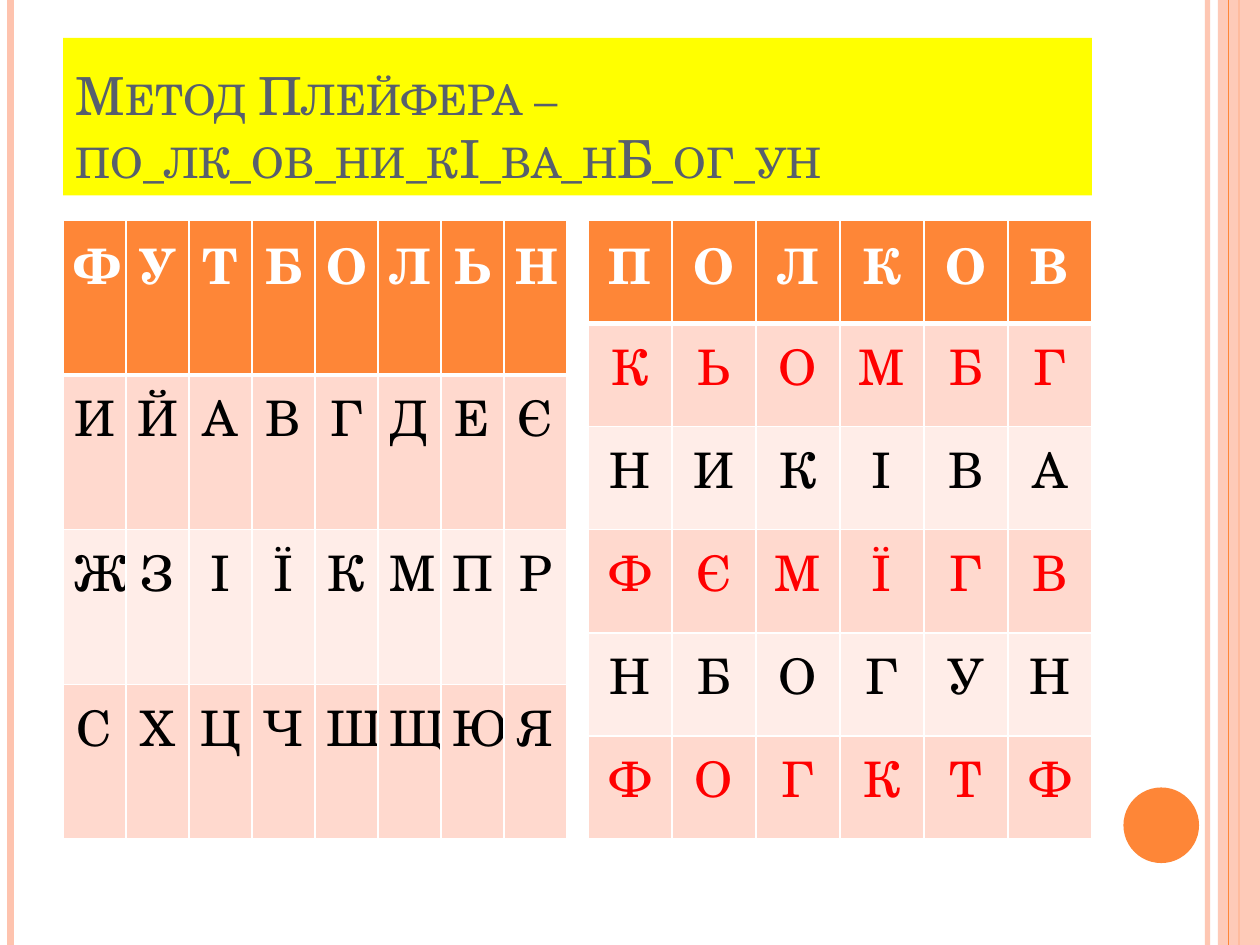
import lxml.etree
import pptx
import pptx.dml.color
import pptx.enum.shapes
import pptx.enum.text
import pptx.oxml.ns
import pptx.util

FONT = "TeX Gyre Schola"
COLORS = {
    "orange": "FE8637", "peach": "FEC3AE", "yellow": "FFFF00", "slate": "575F6D",
    "band": "FFD9CE", "pale": "FFEDE8", "white": "FFFFFF", "black": "000000", "red": "FF0000",
}


def tint(fill, name, alpha=None):
    """Make a fill solid, with an optional opacity in percent."""
    fill.solid()
    fill.fore_color.rgb = pptx.dml.color.RGBColor.from_string(COLORS[name])
    if alpha:
        color = fill._xPr.find(".//" + pptx.oxml.ns.qn("a:srgbClr"))
        lxml.etree.SubElement(color, pptx.oxml.ns.qn("a:alpha"), val=str(alpha * 1000))


def place(*cells):
    """Turn grid columns and rows, in turn, into lengths."""
    return [int(cell * (row if i % 2 else col)) for i, cell in enumerate(cells)]


deck = pptx.Presentation()
deck.slide_width = pptx.util.Inches(10)
deck.slide_height = pptx.util.Inches(7.5)
col, row = deck.slide_width / 60, deck.slide_height / 150
slide = deck.slides.add_slide(deck.slide_layouts[5])
shapes = slide.shapes

# Side stripes and dot
kinds = pptx.enum.shapes.MSO_SHAPE
decor = [
    ("line", (57.5, 0, 57.5, 150), "peach", 3, 93),
    ("line", (0.5, 0, 0.5, 150), "peach", 4.5, None),
    ("line", (59, 0, 59, 150), "orange", 1.5, None),
    (kinds.RECTANGLE, (58, 0, 2, 150), "peach", 0, 87),
    ("line", (58.5, 0, 58.5, 150), "orange", 0.75, None),
    (kinds.OVAL, (53.5, 125, 3.6, 12), "orange", 0, None),
]
for kind, spot, color, weight, alpha in decor:
    if kind == "line":
        line = shapes.add_connector(pptx.enum.shapes.MSO_CONNECTOR.STRAIGHT, *place(*spot))
        line.line.width = pptx.util.Pt(weight)
        tint(line.line.fill, color, alpha)
        lxml.etree.SubElement(line._element.spPr, pptx.oxml.ns.qn("a:effectLst"))
    else:
        shape = shapes.add_shape(kind, *place(*spot))
        shape.shadow.inherit = False
        shape.line.fill.background()
        tint(shape.fill, color, alpha)

# Title
title = shapes.title
title.left, title.top, title.width, title.height = place(3, 6, 49, 25)
tint(title.fill, "yellow")
frame = title.text_frame
frame.text = "Метод Плейфера – по_лк_ов_ни_кІ_ва_нБ_ог_ун"
frame.word_wrap = True
frame.auto_size = pptx.enum.text.MSO_AUTO_SIZE.NONE
frame.vertical_anchor = pptx.enum.text.MSO_ANCHOR.BOTTOM
frame.paragraphs[0].alignment = pptx.enum.text.PP_ALIGN.LEFT
font = frame.paragraphs[0].runs[0].font
font.name, font.size = FONT, pptx.util.Pt(30)
font._element.set("cap", "small")
tint(font.fill, "slate")

# Key square, then plain text with its cipher in red below each row
tables = [
    (3, ["ФУТБОЛЬН", "ИЙАВГДЕЄ", "ЖЗІЇКМПР", "СХЦЧШЩЮЯ"], "black"),
    (28, ["ПОЛКОВ", "КЬОМБГ", "НИКІВА", "ФЄМЇГВ", "НБОГУН", "ФОГКТФ"], "red"),
]
for left, words, accent in tables:
    spot = place(left, 35, 24, 98.2)
    table = shapes.add_table(len(words), len(words[0]), *spot).table
    for column in table.columns:
        column.width = int(spot[2] / len(words[0]))
    for i, word in enumerate(words):
        table.rows[i].height = int(spot[3] / len(words))
        if i == 0:
            back, ink = "orange", "white"
        elif i % 2:
            back, ink = "band", accent
        else:
            back, ink = "pale", "black"
        for j, letter in enumerate(word):
            cell = table.cell(i, j)
            cell.margin_left = cell.margin_right = pptx.util.Inches(0.09)
            props = cell._tc.get_or_add_tcPr()
            for side in "LRTB":
                thick = (i, side) in [(0, "B"), (1, "T")]
                edge = lxml.etree.SubElement(
                    props, pptx.oxml.ns.qn("a:ln" + side), w=str(pptx.util.Pt(3 if thick else 1)))
                solid = lxml.etree.SubElement(edge, pptx.oxml.ns.qn("a:solidFill"))
                lxml.etree.SubElement(solid, pptx.oxml.ns.qn("a:srgbClr"), val=COLORS["white"])
            tint(cell.fill, back)
            cell.text_frame.text = letter
            para = cell.text_frame.paragraphs[0]
            para.alignment = pptx.enum.text.PP_ALIGN.CENTER
            font = para.runs[0].font
            font.name, font.size, font.bold = FONT, pptx.util.Pt(28), i == 0
            tint(font.fill, ink)

deck.save("out.pptx")
